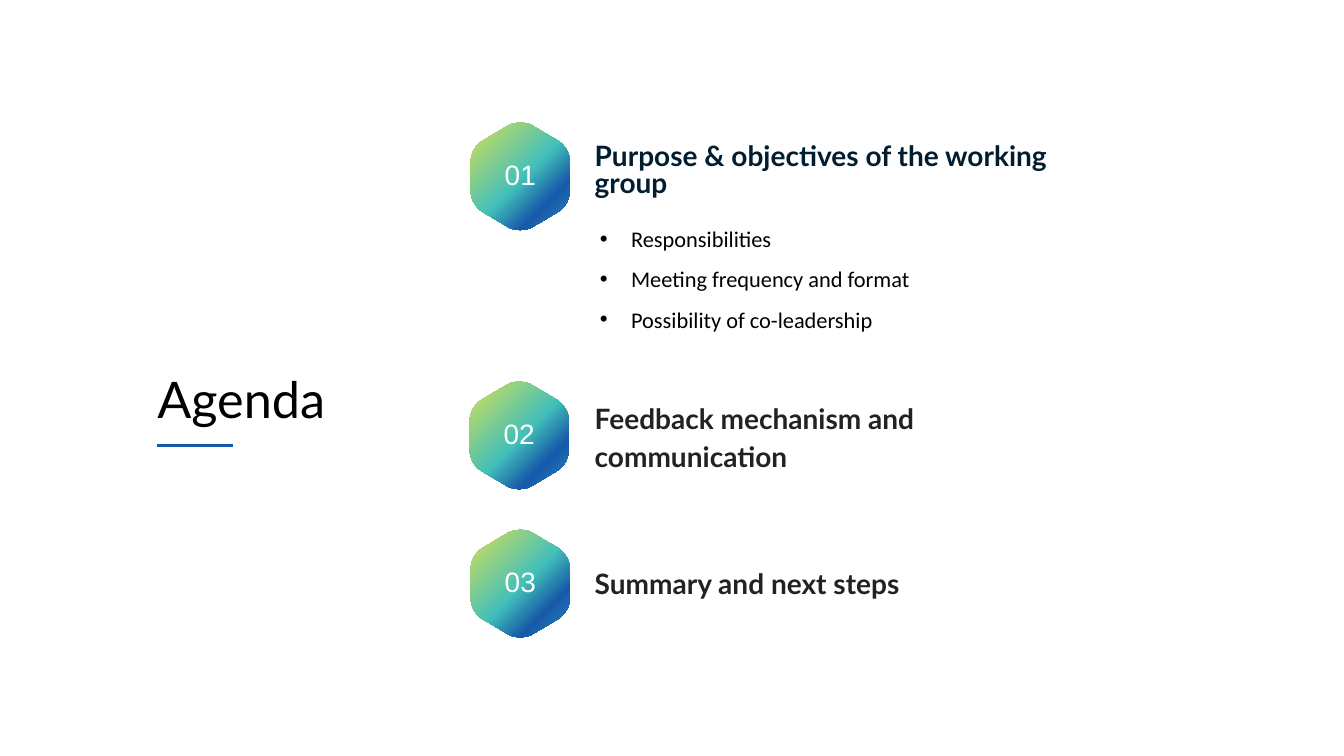
import pptx
import pptx.dml.color
import pptx.enum.shapes
import pptx.enum.text
import pptx.oxml
import pptx.oxml.ns
import pptx.util

Inches = pptx.util.Inches
ANCHOR = pptx.enum.text.MSO_ANCHOR
ALIGN = pptx.enum.text.PP_ALIGN

COLORS = {
    "black": "000000",
    "white": "FFFFFF",
    "navy": "011D30",
    "charcoal": "222222",
    "rule": "1759A9",
}
GRADIENT = [(0, "F49222"), (7, "C3DB63"), (52, "43C0BA"), (76, "1759A9"), (100, "288EBF")]
NS = pptx.oxml.ns.nsdecls("a")

# Rounded corners of the hexagon as Bezier control points, clockwise from the left
HEX_WIDTH, HEX_HEIGHT = 0.98, 1.06
HEX_CORNERS = [
    [(0, 0.37), (0, 0.30), (0.05, 0.22), (0.11, 0.18)],
    [(0.38, 0.02), (0.44, -0.01), (0.54, -0.01), (0.60, 0.02)],
    [(0.87, 0.18), (0.93, 0.22), (0.98, 0.30), (0.98, 0.37)],
    [(0.98, 0.69), (0.98, 0.76), (0.93, 0.84), (0.87, 0.88)],
    [(0.60, 1.04), (0.54, 1.07), (0.44, 1.07), (0.38, 1.04)],
    [(0.11, 0.88), (0.05, 0.84), (0, 0.76), (0, 0.69)],
]


def write(sp, lines, font="Lato", size=20, color="black", bold=False, spacing=1.0,
          align=ALIGN.LEFT, anchor=ANCHOR.TOP, insets=(0, 0, 0, 0), bullet_indent=None):
    """Fill a shape with one paragraph per line, all in the same format."""
    tf = sp.text_frame
    tf.word_wrap = True
    tf.auto_size = pptx.enum.text.MSO_AUTO_SIZE.NONE
    tf.vertical_anchor = anchor
    tf.margin_left, tf.margin_top, tf.margin_right, tf.margin_bottom = map(Inches, insets)
    for i, line in enumerate(lines):
        p = tf.paragraphs[0] if i == 0 else tf.add_paragraph()
        p.alignment = align
        p.line_spacing = spacing
        p.space_before = p.space_after = pptx.util.Pt(0)
        if bullet_indent:
            pPr = p._p.get_or_add_pPr()
            pPr.set("marL", str(Inches(bullet_indent)))
            pPr.set("indent", str(-Inches(bullet_indent)))
            pPr.append(pptx.oxml.parse_xml(f'<a:buFont {NS} typeface="Arial"/>'))
            pPr.append(pptx.oxml.parse_xml(f'<a:buChar {NS} char="•"/>'))
        r = p.add_run()
        r.text = line
        r.font.name = font
        r.font.size = pptx.util.Pt(size)
        r.font.bold = bold
        r.font.color.rgb = pptx.dml.color.RGBColor.from_string(COLORS[color])


def add_hexagon(shapes, left, top):
    """Draw a hexagon with curved corners and the diagonal gradient."""
    builder = shapes.build_freeform(Inches(left), Inches(top))
    builder.add_line_segments([(Inches(left + HEX_WIDTH), Inches(top + HEX_HEIGHT))])
    sp = builder.convert_to_shape()
    sp.shadow.inherit = False
    sp.line.fill.background()

    outline = ""
    for corner in HEX_CORNERS:
        start, *curve = [f'<a:pt x="{Inches(x)}" y="{Inches(y)}"/>' for x, y in corner]
        step = "lnTo" if outline else "moveTo"
        outline += f"<a:{step}>{start}</a:{step}><a:cubicBezTo>{''.join(curve)}</a:cubicBezTo>"
    curves = pptx.oxml.parse_xml(f'<a:path {NS} w="{Inches(HEX_WIDTH)}" h="{Inches(HEX_HEIGHT)}">'
                                 f"{outline}<a:close/></a:path>")
    geometry = sp._element.spPr.find(pptx.oxml.ns.qn("a:custGeom"))
    paths = geometry.find(pptx.oxml.ns.qn("a:pathLst"))
    paths.replace(paths[0], curves)

    stops = "".join(f'<a:gs pos="{pos * 1000}"><a:srgbClr val="{rgb}"/></a:gs>'
                    for pos, rgb in GRADIENT)
    geometry.addnext(pptx.oxml.parse_xml(
        f'<a:gradFill {NS} rotWithShape="1"><a:gsLst>{stops}</a:gsLst>'
        '<a:lin ang="2700000" scaled="0"/></a:gradFill>'))
    return sp


prs = pptx.Presentation()
prs.slide_width, prs.slide_height = Inches(13.33), Inches(7.5)
s = prs.slides.add_slide(prs.slide_layouts[1])

# Title with its rule
title = s.shapes.title
title.left, title.top, title.width, title.height = map(Inches, (1.56, 3.77, 3.28, 0.5))
write(title, ["Agenda"], size=36, spacing=0.8)

rule = s.shapes.add_connector(pptx.enum.shapes.MSO_CONNECTOR.STRAIGHT,
                              *map(Inches, (1.56, 4.42, 2.31, 4.42)))
rule.line.color.rgb = pptx.dml.color.RGBColor.from_string(COLORS["rule"])
rule.line.width = pptx.util.Pt(1.5)
rule._element.spPr.append(pptx.oxml.parse_xml(f"<a:effectLst {NS}/>"))

# Agenda items: hexagon left and top, heading, heading box, colour, line spacing
items = [
    (4.67, 1.22, "Purpose & objectives of the working group", (5.8, 1.39, 5.24, 0.72), "navy", 0.8),
    (4.66, 3.79, "Feedback mechanism and communication", (5.8, 3.88, 5.06, 0.88), "charcoal", 1.15),
    (4.67, 5.26, "Summary and next steps", (5.8, 5.52, 5.06, 0.57), "charcoal", 1.15),
]
for number, (left, top, heading, box, color, spacing) in enumerate(items, 1):
    hexagon = add_hexagon(s.shapes, left, top)
    write(hexagon, [f"{number:02}"], font="Arial", color="white",
          align=ALIGN.CENTER, anchor=ANCHOR.MIDDLE, insets=(0, 0, 0, 0.05))
    tb = s.shapes.add_textbox(*map(Inches, box))
    write(tb, [heading], color=color, bold=True, spacing=spacing, insets=(0.1, 0.05, 0.1, 0.05))

# Details of the first item
details = s.placeholders[1]
details.left, details.top, details.width, details.height = map(Inches, (5.95, 2.05, 4.76, 1.27))
write(details, ["Responsibilities", "Meeting frequency and format", "Possibility of co-leadership"],
      font="Calibri", size=16, spacing=1.5, insets=(0, 0.05, 0.1, 0.05), bullet_indent=0.31)

prs.save("out.pptx")
